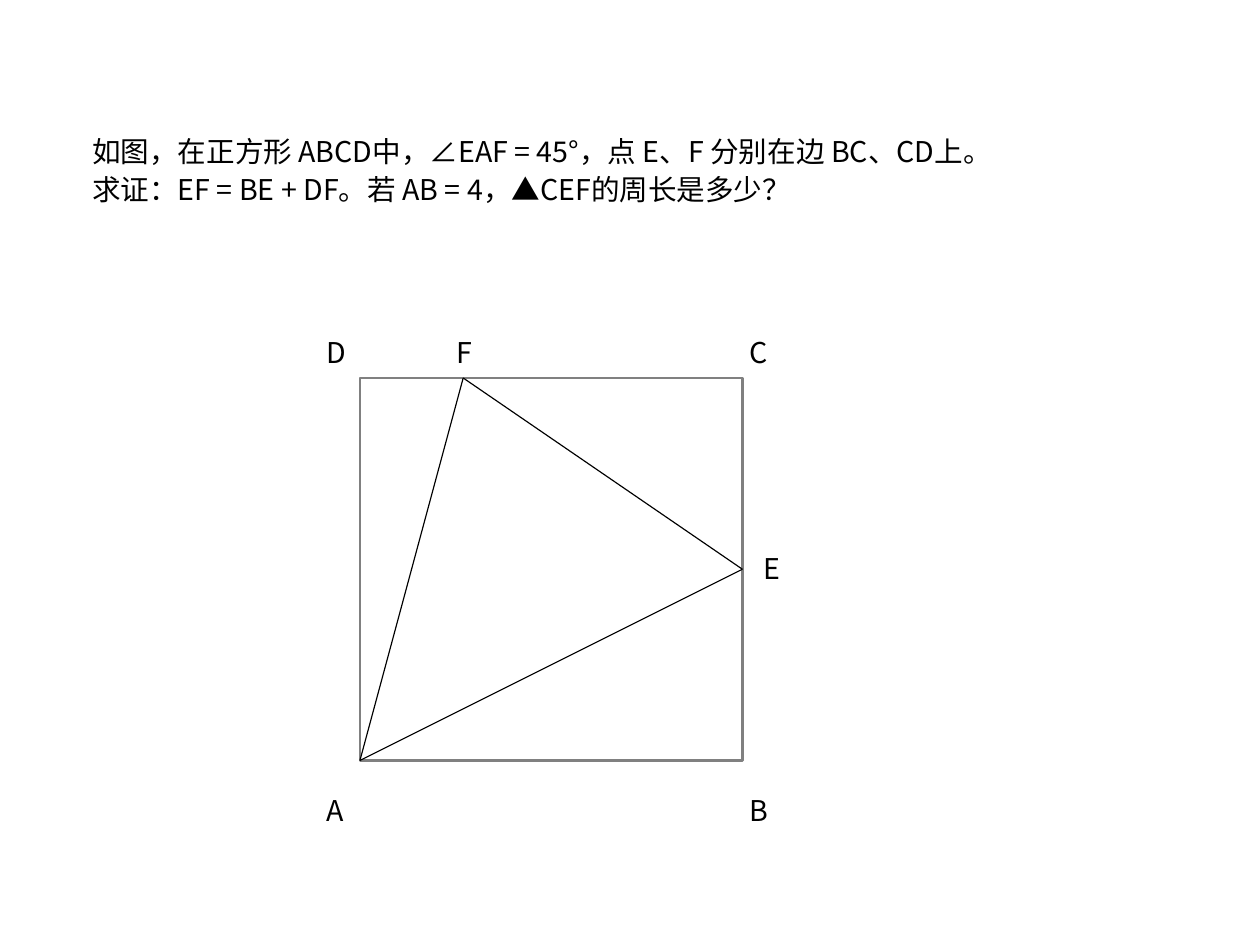
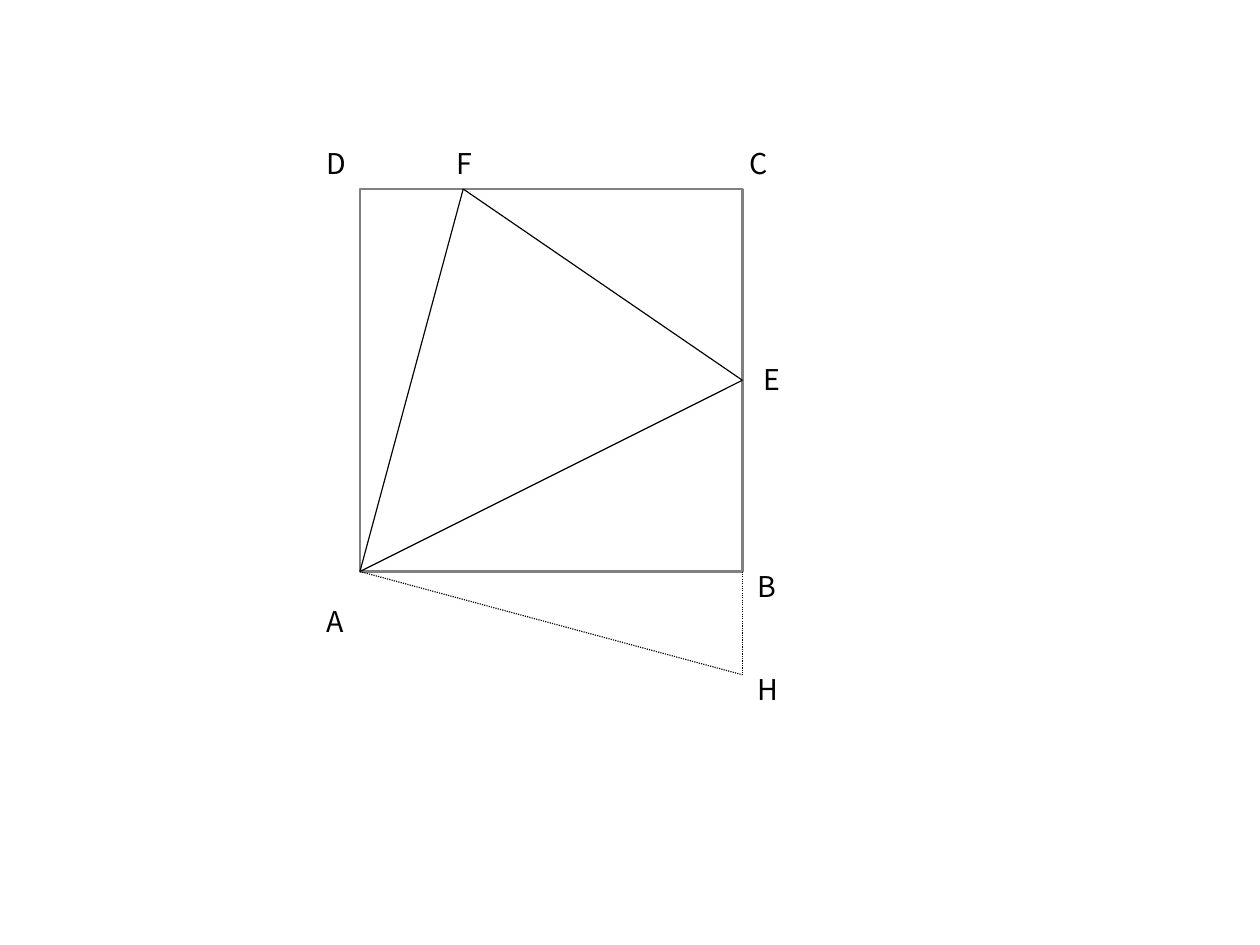
from lxml.etree import SubElement
from pptx import Presentation
from pptx.dml.color import RGBColor
from pptx.enum.dml import MSO_LINE_DASH_STYLE as DASH
from pptx.enum.shapes import MSO_CONNECTOR_TYPE as CONNECTOR, MSO_SHAPE
from pptx.enum.text import MSO_ANCHOR
from pptx.oxml.ns import qn
from pptx.util import Pt

# Shared style
BLACK = RGBColor(0x00, 0x00, 0x00)
GRAY = RGBColor(0x80, 0x80, 0x80)
WHITE = RGBColor(0xFF, 0xFF, 0xFF)
FONT = "Noto Sans CJK SC"
SLIDE_WIDTH, SLIDE_HEIGHT = 793.75, 595.25
BLANK_LAYOUT = 6

# Square position, shared by both slides
SQUARE_LEFT, SQUARE_SIDE = 226.77, 240.94

# Vertices as fractions of the square's side, from its top left corner
DF = 0.27
VERTICES = {
    "A": (0, 1), "B": (1, 1), "C": (1, 0), "D": (0, 0),
    "F": (DF, 0), "E": (1, 0.5), "H": (1, 1 + DF),
}
TRIANGLE = ("AF", "AE", "FE")
AUXILIARY = ("BH", "AH")

# Offset of each label's box from its vertex
LABEL_WIDTH, LABEL_HEIGHT = 26, 27.4
LABEL_OFFSETS = {
    "A": (-28, 15.2), "B": (-2.6, 15.2), "C": (-2.6, -32.7),
    "D": (-28, -32.7), "F": (-11.3, -32.7), "E": (6, -17),
}
BESIDE = (2.6, -7)


def add_text(slide, lines, left, top, width, height, *, size=18,
             color=BLACK, wrap=True):
    box = slide.shapes.add_textbox(Pt(left), Pt(top), Pt(width), Pt(height))
    frame = box.text_frame
    frame.word_wrap = wrap
    frame.vertical_anchor = MSO_ANCHOR.TOP
    frame.text = "\n".join(lines)
    for paragraph in frame.paragraphs:
        paragraph.line_spacing = 1.09
        for run in paragraph.runs:
            run.font.name = FONT
            run.font.size = Pt(size)
            run.font.color.rgb = color
            # Same typeface for the Chinese characters
            SubElement(run.font._element, qn("a:ea"), typeface=FONT)
    return box


def add_segment(slide, start, end, *, color=BLACK, width=0.75, dash=None):
    connector = slide.shapes.add_connector(
        CONNECTOR.STRAIGHT, *(Pt(value) for value in (*start, *end)))
    connector.line.color.rgb = color
    connector.line.width = Pt(width)
    if dash is not None:
        connector.line.dash_style = dash
    SubElement(connector._element.spPr, qn("a:effectLst"))
    return connector


def add_figure(slide, left, top, side, label_offsets, auxiliary=()):
    points = {name: (left + x * side, top + y * side)
              for name, (x, y) in VERTICES.items()}

    # Square ABCD
    square = slide.shapes.add_shape(
        MSO_SHAPE.RECTANGLE, Pt(left), Pt(top), Pt(side), Pt(side))
    square.shadow.inherit = False
    square.fill.solid()
    square.fill.fore_color.rgb = WHITE
    square.line.color.rgb = GRAY
    square.line.width = Pt(1.45)

    # Triangle AEF and the dotted auxiliary lines
    for start, end in TRIANGLE:
        add_segment(slide, points[start], points[end])
    for start, end in auxiliary:
        add_segment(slide, points[start], points[end], dash=DASH.ROUND_DOT)

    # Vertex labels
    for name, (dx, dy) in label_offsets.items():
        x, y = points[name]
        add_text(slide, [name], x + dx, y + dy, LABEL_WIDTH, LABEL_HEIGHT,
                 wrap=False)


def add_problem_slide(presentation):
    slide = presentation.slides.add_slide(
        presentation.slide_layouts[BLANK_LAYOUT])
    add_text(slide, [
        "如图，在正方形 ABCD中，∠EAF = 45°，点 E、F 分别在边 BC、CD上。",
        "求证：EF = BE + DF。若 AB = 4，▲CEF的周长是多少？",
    ], 51, 79.2, 694.8, 53.3)
    add_figure(slide, SQUARE_LEFT, 238.11, SQUARE_SIDE, LABEL_OFFSETS)


def add_solution_slide(presentation):
    slide = presentation.slides.add_slide(
        presentation.slide_layouts[BLANK_LAYOUT])
    add_figure(slide, SQUARE_LEFT, 119.06, SQUARE_SIDE,
               LABEL_OFFSETS | {"B": BESIDE, "H": BESIDE}, AUXILIARY)


def main():
    presentation = Presentation()
    presentation.slide_width = Pt(SLIDE_WIDTH)
    presentation.slide_height = Pt(SLIDE_HEIGHT)
    add_problem_slide(presentation)
    add_solution_slide(presentation)
    presentation.save("out.pptx")


if __name__ == "__main__":
    main()
